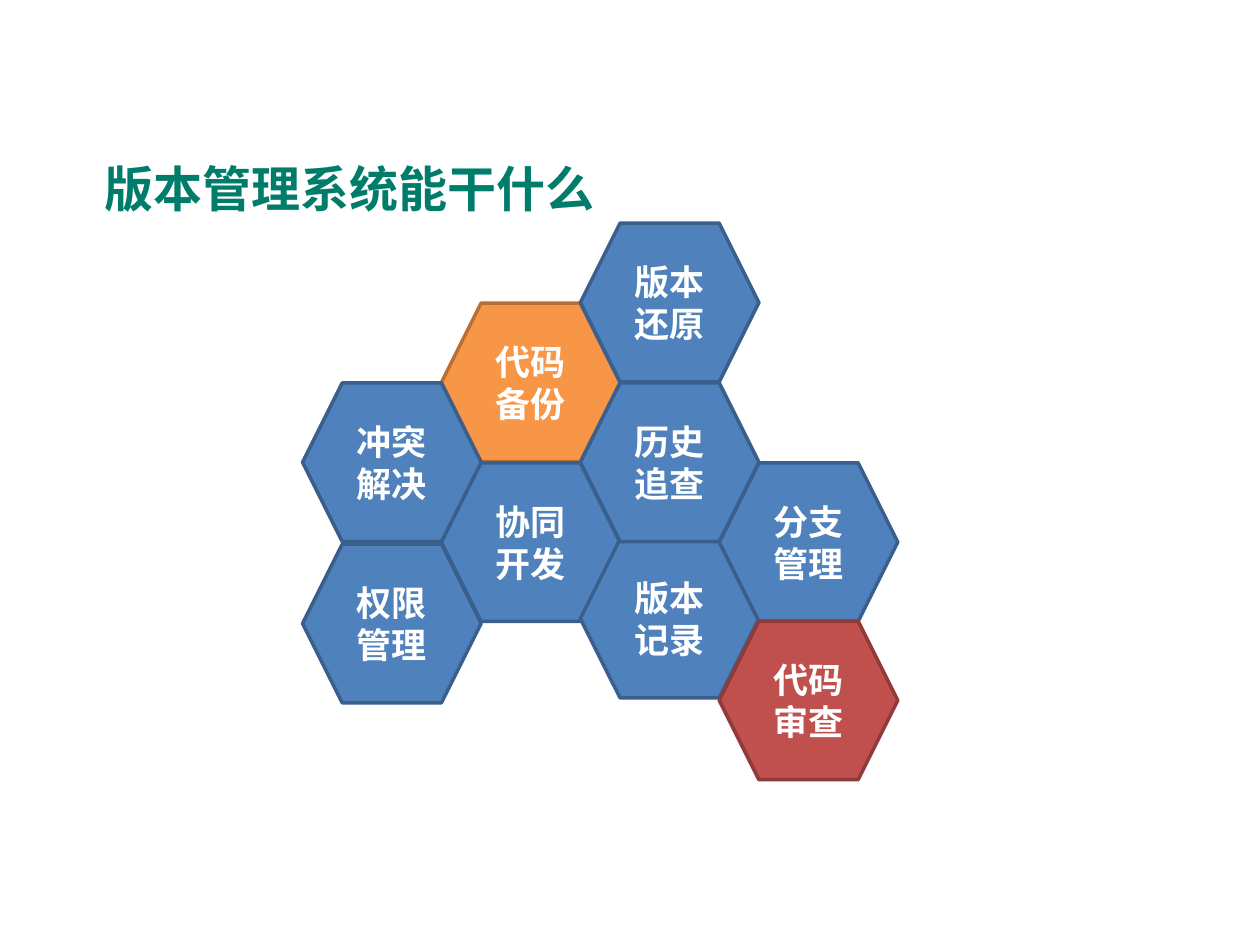
import pptx
import pptx.dml.color
import pptx.enum.shapes
import pptx.enum.text
import pptx.oxml.ns
import pptx.util
from lxml import etree

Cm = pptx.util.Cm
RGBColor = pptx.dml.color.RGBColor

FONT = "Noto Sans CJK SC"
WHITE = RGBColor(0xFF, 0xFF, 0xFF)
GREEN = RGBColor(0x00, 0x7C, 0x6A)
BLUE = RGBColor(0x4F, 0x81, 0xBD)
DARK_BLUE = RGBColor(0x3A, 0x5F, 0x8C)
ORANGE = RGBColor(0xF7, 0x96, 0x46)
DARK_ORANGE = RGBColor(0xB7, 0x6F, 0x34)
RED = RGBColor(0xC0, 0x50, 0x4D)
DARK_RED = RGBColor(0x8E, 0x3B, 0x39)

# Honeycomb grid in centimetres
LEFT, TOP = 6.1, 4.5
COLUMN_STEP, HALF_ROW = 2.8, 1.61
CELL_WIDTH, CELL_HEIGHT = 3.6, 3.2

# Label, column, half row, vertical nudge, fill, outline
FEATURES = [
    ("代码\n备份", 1, 1, 0, ORANGE, DARK_ORANGE),
    ("协同开发", 1, 3, 0, BLUE, DARK_BLUE),
    ("冲突解决", 0, 2, 0, BLUE, DARK_BLUE),
    ("版本记录", 2, 4, -0.07, BLUE, DARK_BLUE),
    ("分支管理", 3, 3, 0, BLUE, DARK_BLUE),
    ("权限管理", 0, 4, 0.03, BLUE, DARK_BLUE),
    ("代码审查", 3, 5, -0.03, RED, DARK_RED),
    ("历史追查", 2, 2, 0, BLUE, DARK_BLUE),
    ("版本还原", 2, 0, 0, BLUE, DARK_BLUE),
]


def write_text(frame, text, *, size, color, bold=True):
    """Fill a text frame with centred paragraphs, one per line."""
    frame.word_wrap = True
    frame.text = text
    for paragraph in frame.paragraphs:
        paragraph.alignment = pptx.enum.text.PP_ALIGN.CENTER
        for run in paragraph.runs:
            run.font.size = pptx.util.Pt(size)
            run.font.bold = bold
            run.font.name = FONT
            run.font.color.rgb = color
            east_asian = etree.SubElement(
                run._r.get_or_add_rPr(), pptx.oxml.ns.qn("a:ea"))
            east_asian.set("typeface", FONT)


class SlideBuilder:
    """Holds the current slide and the style of its elements."""

    def __init__(self, slide, label_size=20, title_size=28, outline_width=2):
        self.slide = slide
        self.label_size = label_size
        self.title_size = title_size
        self.outline_width = pptx.util.Pt(outline_width)

    def title(self, text, left, top, width, height):
        heading = self.slide.shapes.title
        heading.left, heading.top = Cm(left), Cm(top)
        heading.width, heading.height = Cm(width), Cm(height)
        frame = heading.text_frame
        frame.margin_left = frame.margin_right = Cm(0.1)
        frame.margin_top = frame.margin_bottom = Cm(0.05)
        frame.vertical_anchor = pptx.enum.text.MSO_ANCHOR.TOP
        frame.auto_size = pptx.enum.text.MSO_AUTO_SIZE.SHAPE_TO_FIT_TEXT
        write_text(frame, text, size=self.title_size, color=GREEN)

    def hexagon(self, text, left, top, fill, outline):
        cell = self.slide.shapes.add_shape(
            pptx.enum.shapes.MSO_SHAPE.HEXAGON,
            Cm(left), Cm(top), Cm(CELL_WIDTH), Cm(CELL_HEIGHT))
        cell.shadow.inherit = False
        cell.fill.solid()
        cell.fill.fore_color.rgb = fill
        cell.line.color.rgb = outline
        cell.line.width = self.outline_width
        cell.text_frame.vertical_anchor = pptx.enum.text.MSO_ANCHOR.MIDDLE
        write_text(cell.text_frame, text, size=self.label_size, color=WHITE)


def main():
    deck = pptx.Presentation()
    deck.slide_width, deck.slide_height = Cm(25.4), Cm(19.05)
    title_only = deck.slide_layouts[5]
    builder = SlideBuilder(deck.slides.add_slide(title_only))

    # Heading
    builder.title(" 版本管理系统能干什么", 0.71, 3.15, 12.45, 1.3)

    # Honeycomb of features
    for label, column, half_row, nudge, fill, outline in FEATURES:
        builder.hexagon(label, LEFT + column * COLUMN_STEP,
                        TOP + half_row * HALF_ROW + nudge, fill, outline)

    deck.save("out.pptx")


if __name__ == "__main__":
    main()
